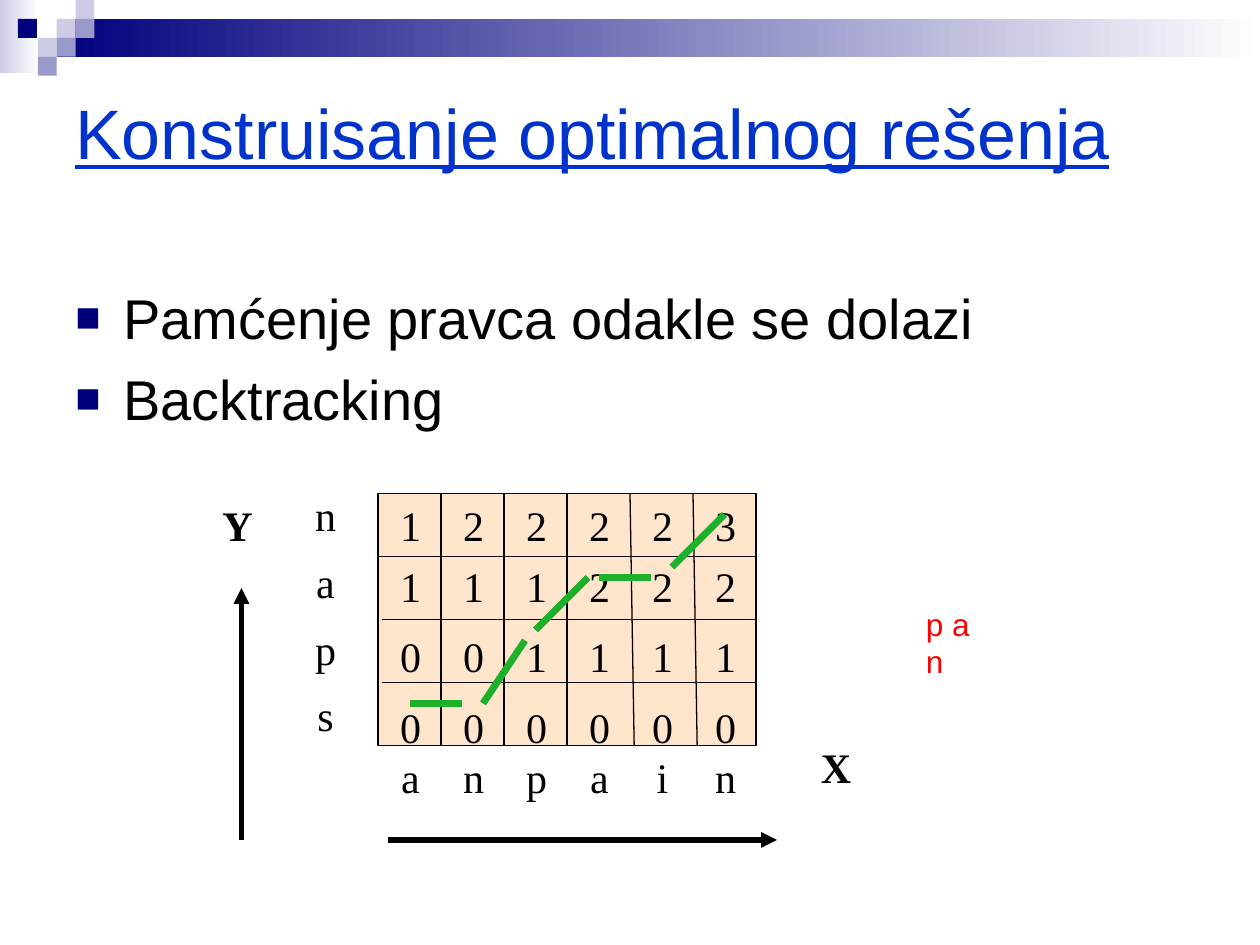
"""Build a slide on tracing the optimal solution through a grid."""
from lxml import etree
from pptx import Presentation, util as u
from pptx.dml.color import RGBColor
from pptx.enum import shapes as s, text as t
from pptx.oxml import ns

deck = Presentation()
deck.slide_width, deck.slide_height = u.Inches(10), u.Inches(7.5)
page = deck.slides.add_slide(deck.slide_layouts[6])
draw = page.shapes
unit = deck.slide_width / 120
hue = RGBColor.from_string


def write(area, lines, font, shade, para={}, frame={}, extra=()):
    box = draw.add_textbox(*[round(n * unit) for n in area])
    body = box.text_frame
    for key, val in {"word_wrap": True, **frame}.items():
        setattr(body, key, val)
    for i, line in enumerate(lines):
        p = body.paragraphs[0] if i == 0 else body.add_paragraph()
        for key, val in para.items():
            if i or key != "space_before":
                setattr(p, key, val)
        props = p._p.get_or_add_pPr()
        for xml in extra:
            props.append(etree.fromstring(xml))
        run = p.add_run()
        run.text = line
        for key, val in font.items():
            setattr(run.font, key, val)
        run.font.color.rgb = hue(shade)
    return body


def join(x1, y1, x2, y2, width=0.75, shade="000000", arrow=False):
    ends = [round(n * unit) for n in (x1, y1, x2, y2)]
    line = draw.add_connector(s.MSO_CONNECTOR.STRAIGHT, *ends)
    line.line.width = u.Pt(width)
    line.line.color.rgb = hue(shade)
    if arrow:
        tip = etree.SubElement(line.line._get_or_add_ln(), ns.qn("a:tailEnd"))
        tip.set("type", "triangle")
    etree.SubElement(line._element.spPr, ns.qn("a:effectLst"))
    return line


step = 1.8
left, top, cell, cols, rows = 36, 47, 6, 6, 4
right, base = left + cols * cell, top + rows * cell
rects = [
    (0, 0, 3.7, 7, "CCCCE6", "FFFFFF"),
    (3 * step, step, 120 - 3 * step, 2 * step, "00007D", "FFFFFF"),
]
tiles = [(3, 1, "CCCCE6"), (4, 0, "CCCCE6"), (4, 1, "9999CC"), (2, 2, "CCCCE6"),
         (0.95, 1, "00007D"), (3, 2, "9999CC"), (2, 3, "9999CC")]
rects += [(x * step, y * step, step, step, shade, None) for x, y, shade in tiles]
rects.append((left, top, cols * cell, rows * cell, "FFCC99", None))
for *area, shade, fade in rects:
    rect = draw.add_shape(s.MSO_SHAPE.RECTANGLE, *[round(n * unit) for n in area])
    rect.shadow.inherit = False
    rect.line.fill.background()
    if fade:
        rect.fill.gradient()
        rect.fill.gradient_angle = 0
        for stop, tone in zip(rect.fill.gradient_stops, (shade, fade)):
            stop.color.rgb = hue(tone)
    else:
        rect.fill.solid()
        rect.fill.fore_color.rgb = hue(shade)

grid = rect
grid.line.color.rgb = hue("000000")
grid.line.width = u.Pt(0.75)
tint = grid._element.spPr.find(".//" + ns.qn("a:srgbClr"))
etree.SubElement(tint, ns.qn("a:alpha")).set("val", "51000")

space = ns.nsdecls("a")
marks = [
    f'<a:buClr {space}><a:srgbClr val="00007D"/></a:buClr>',
    f'<a:buSzPct {space} val="75000"/>',
    f'<a:buFont {space} typeface="Arial"/>',
    f'<a:buChar {space} char="■"/>',
]
write((6, 6, 108, 13), ["Konstruisanje optimalnog rešenja"],
      {"name": "Arial", "size": u.Pt(40), "underline": True}, "0033CC",
      frame={"vertical_anchor": t.MSO_ANCHOR.MIDDLE})
list_box = write((6, 26.4, 108, 51), ["Pamćenje pravca odakle se dolazi", "Backtracking"],
                 {"name": "Arial", "size": u.Pt(32)}, "000000",
                 {"space_before": u.Pt(8)}, extra=marks)
for p in list_box.paragraphs:
    for key, val in {"marL": 0.38, "indent": -0.38}.items():
        p._p.pPr.set(key, str(u.Inches(val)))

serif = {"name": "Times New Roman", "size": u.Pt(24)}
for x, y, name in [(77, 70, "X"), (20, top, "Y")]:
    write((x, y, 5.3, 6), [name], {**serif, "bold": True}, "000000",
          frame={"word_wrap": False})

for i in range(rows):
    y = top + i * cell
    line = join(left + (0.4 if i > 1 else 0), y, right, y)
    if i == rows / 2:
        line.end_connect(grid, 3)
for i in range(1, cols):
    x = left + i * cell
    line = join(x, top, x + (0.4 if i > 3 else 0), base)
    if i == cols / 2:
        line.begin_connect(grid, 0)
        line.end_connect(grid, 2)

stops = "".join(f'<a:tab pos="{u.Inches(0.16 + i / 2)}" algn="ctr"/>' for i in range(cols))
tabs = [f"<a:tabLst {space}>{stops}</a:tabLst>"]
write((left, base, 61, 6), ["".join("\t" + c for c in "anpain")], serif, "000000",
      extra=tabs)
write((28, top, 6, 24), "naps", serif, "000000",
      {"alignment": t.PP_ALIGN.CENTER, "line_spacing": 0.8, "space_before": u.Pt(15)})
scores = ["122223", "111222", "001111", "000000"]
table = write((left, top, cols * cell, rows * cell),
              ["".join("\t" + c for c in row) for row in scores],
              serif, "000000", extra=tabs)
for p, gap in zip(table.paragraphs, (1, 1.2, 1.4, 1.4)):
    p.line_spacing = gap

trail = [(69, 49, 64, 54), (62, 55, 57, 55), (56, 55, 51, 60), (50, 61, 46, 67),
         (44, 67, 39, 67)]
for ends in trail:
    join(*ends, width=4, shade="1CB02B")

write((87, 57, 9, 4.8), ["p a n"], {"name": "Arial", "size": u.Pt(18)}, "FF0000",
      frame={"word_wrap": False})
for ends in [(37, 80, 74, 80), (23, 80, 23, 56)]:
    join(*ends, width=3, arrow=True)

deck.save("out.pptx")
